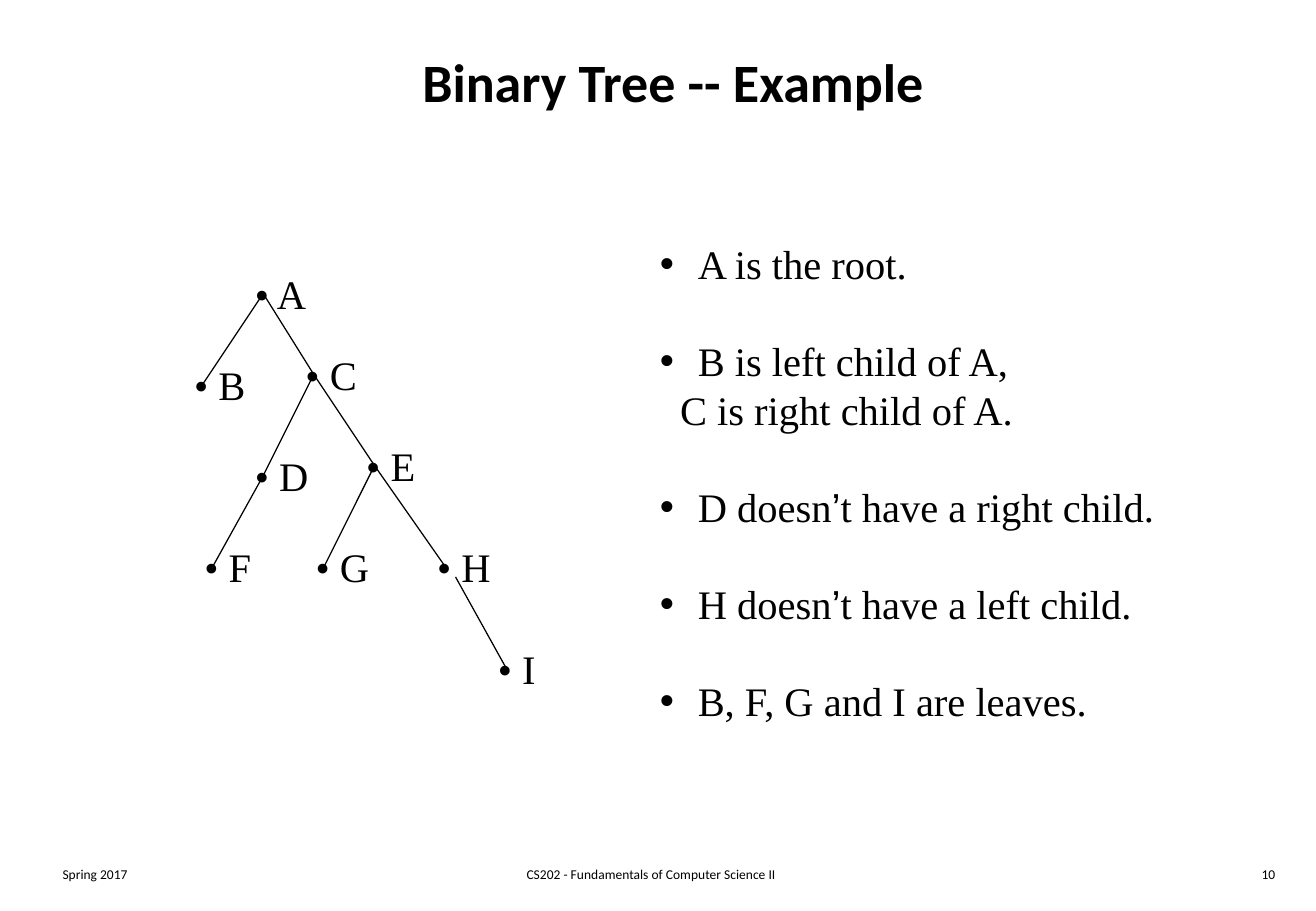
from dataclasses import dataclass

from lxml.etree import SubElement
from pptx import Presentation
from pptx.dml.color import RGBColor
from pptx.enum.shapes import MSO_CONNECTOR
from pptx.enum.text import MSO_ANCHOR, PP_ALIGN
from pptx.oxml.ns import qn
from pptx.util import Pt

TITLE = "Binary Tree -- Example"
FOOTERS = [  # text, left, width, alignment
    ("Spring 2017", 30, 163, PP_ALIGN.LEFT),
    ("CS202 - Fundamentals of Computer Science II", 240, 292, PP_ALIGN.CENTER),
    ("10", 600, 163, PP_ALIGN.RIGHT),
]
NODES = {  # centre of each node
    "A": (156, 174), "B": (120, 228), "C": (186, 222),
    "D": (156, 282), "E": (222, 276), "F": (126, 336),
    "G": (192, 336), "H": (264, 336), "I": (300, 396),
}
EDGES = ["AB", "AC", "CD", "CE", "DF", "EG", "EH", "HI"]
EDGE_START_OFFSET = {"HI": 6}
FACTS = [  # text, has a bullet
    ("A is the root.", True),
    ("B is left child of A,", True),
    ("C is right child of A.", False),
    ("D doesn’t have a right child.", True),
    ("H doesn’t have a left child.", True),
    ("B, F, G and I are leaves.", True),
]


@dataclass(frozen=True)
class Theme:
    ink: RGBColor = RGBColor(0, 0, 0)
    heading_font: str = "Calibri"
    body_font: str = "Times New Roman"
    symbol_font: str = "Arial"
    title_size: float = 32
    body_size: float = 24
    footer_size: float = 8
    line_width: float = 0.75
    line_pitch: float = 28.8
    bullet_indent: float = 22.5
    plain_indent: float = 12


THEME = Theme()


def write(paragraph, text, font, size, bold=False, align=PP_ALIGN.LEFT):
    """Fill a paragraph, setting apostrophes in the symbol font."""
    paragraph.alignment = align
    before, apostrophe, after = text.partition("’")
    for part, name in ((before, font), (apostrophe, THEME.symbol_font), (after, font)):
        if part:
            run = paragraph.add_run()
            run.text = part
            run.font.name = name
            run.font.size = Pt(size)
            run.font.bold = bold
            run.font.color.rgb = THEME.ink


def add_frame(slide, left, top, width, height, anchor=MSO_ANCHOR.TOP):
    frame = slide.shapes.add_textbox(Pt(left), Pt(top), Pt(width), Pt(height)).text_frame
    frame.word_wrap = True
    frame.vertical_anchor = anchor
    return frame


def add_edge(slide, edge):
    parent, child = edge
    offset = EDGE_START_OFFSET.get(edge, 0)
    x, y = NODES[parent]
    ends = (x + offset, y + offset, *NODES[child])
    line = slide.shapes.add_connector(MSO_CONNECTOR.STRAIGHT, *map(Pt, ends))
    line.line.color.rgb = THEME.ink
    line.line.width = Pt(THEME.line_width)
    SubElement(line._element.spPr, qn("a:effectLst"))


def indent(paragraph, bulleted):
    properties = paragraph._p.get_or_add_pPr()
    left = THEME.bullet_indent if bulleted else THEME.plain_indent
    properties.set("marL", str(Pt(left)))
    properties.set("indent", str(-Pt(left) if bulleted else 0))
    if bulleted:
        SubElement(properties, qn("a:buFont"), typeface=THEME.symbol_font)
        SubElement(properties, qn("a:buChar"), char="•")
    else:
        SubElement(properties, qn("a:buNone"))


def add_facts(slide):
    frame = add_frame(slide, 384, 138.2, 340, 327)
    for index, (text, bulleted) in enumerate(FACTS):
        paragraph = frame.add_paragraph() if index else frame.paragraphs[0]
        write(paragraph, text, THEME.body_font, THEME.body_size)
        paragraph.line_spacing = Pt(THEME.line_pitch)
        paragraph.space_before = Pt(THEME.line_pitch if index and bulleted else 0)
        indent(paragraph, bulleted)


def main():
    presentation = Presentation()
    presentation.slide_width, presentation.slide_height = Pt(780), Pt(540)
    slide = presentation.slides.add_slide(presentation.slide_layouts[6])

    for text, left, width, align in FOOTERS:
        frame = add_frame(slide, left, 510, width, 18)
        write(frame.paragraphs[0], text, THEME.heading_font, THEME.footer_size, align=align)

    title = add_frame(slide, 30, 12, 738, 72, MSO_ANCHOR.MIDDLE)
    write(title.paragraphs[0], TITLE, THEME.heading_font, THEME.title_size,
          bold=True, align=PP_ALIGN.CENTER)

    for edge in EDGES:
        add_edge(slide, edge)
    for name, (x, y) in NODES.items():
        label = add_frame(slide, x - 12, y - 18, 52, 36)
        write(label.paragraphs[0], f"• {name}", THEME.body_font, THEME.body_size)

    add_facts(slide)
    presentation.save("out.pptx")


if __name__ == "__main__":
    main()
